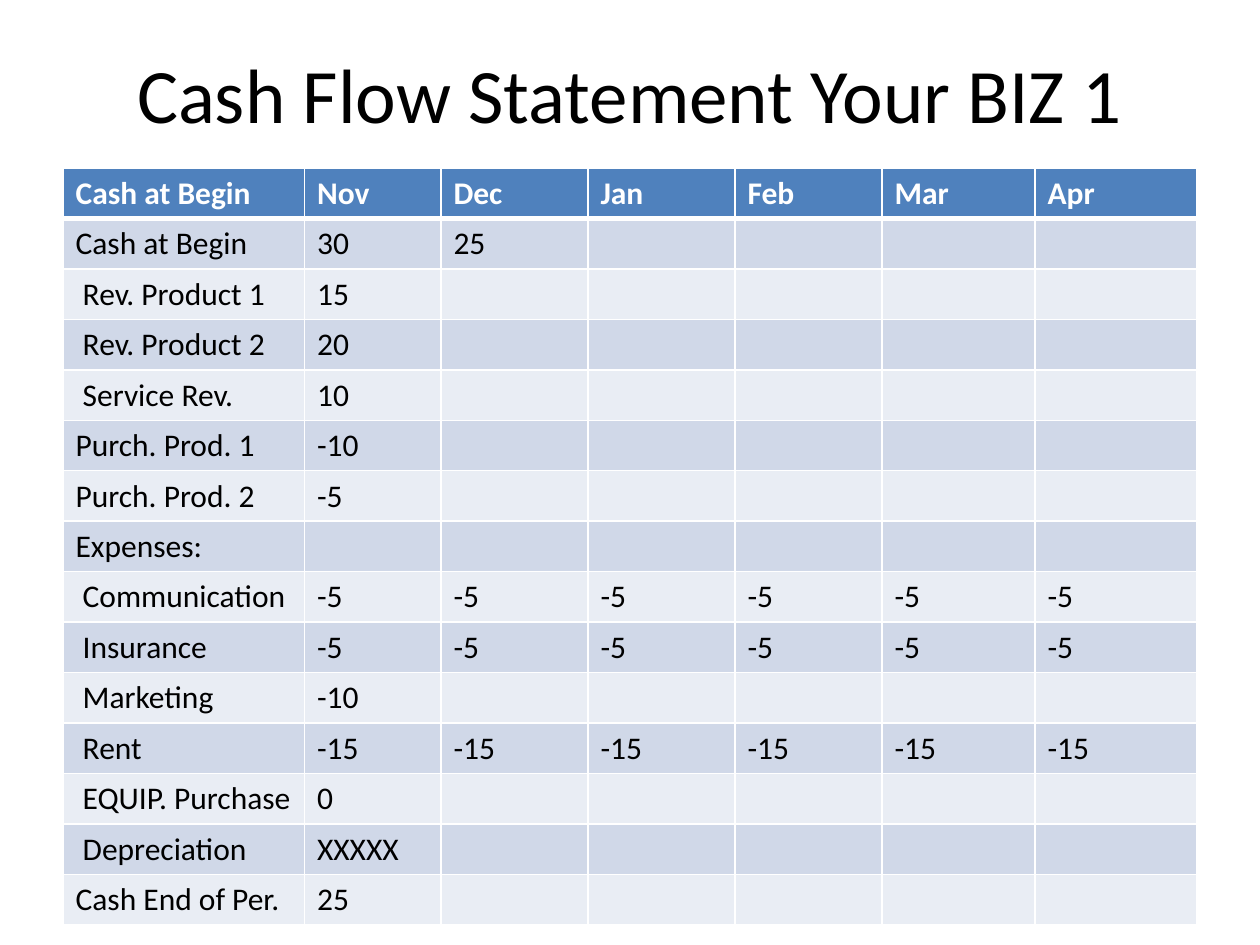
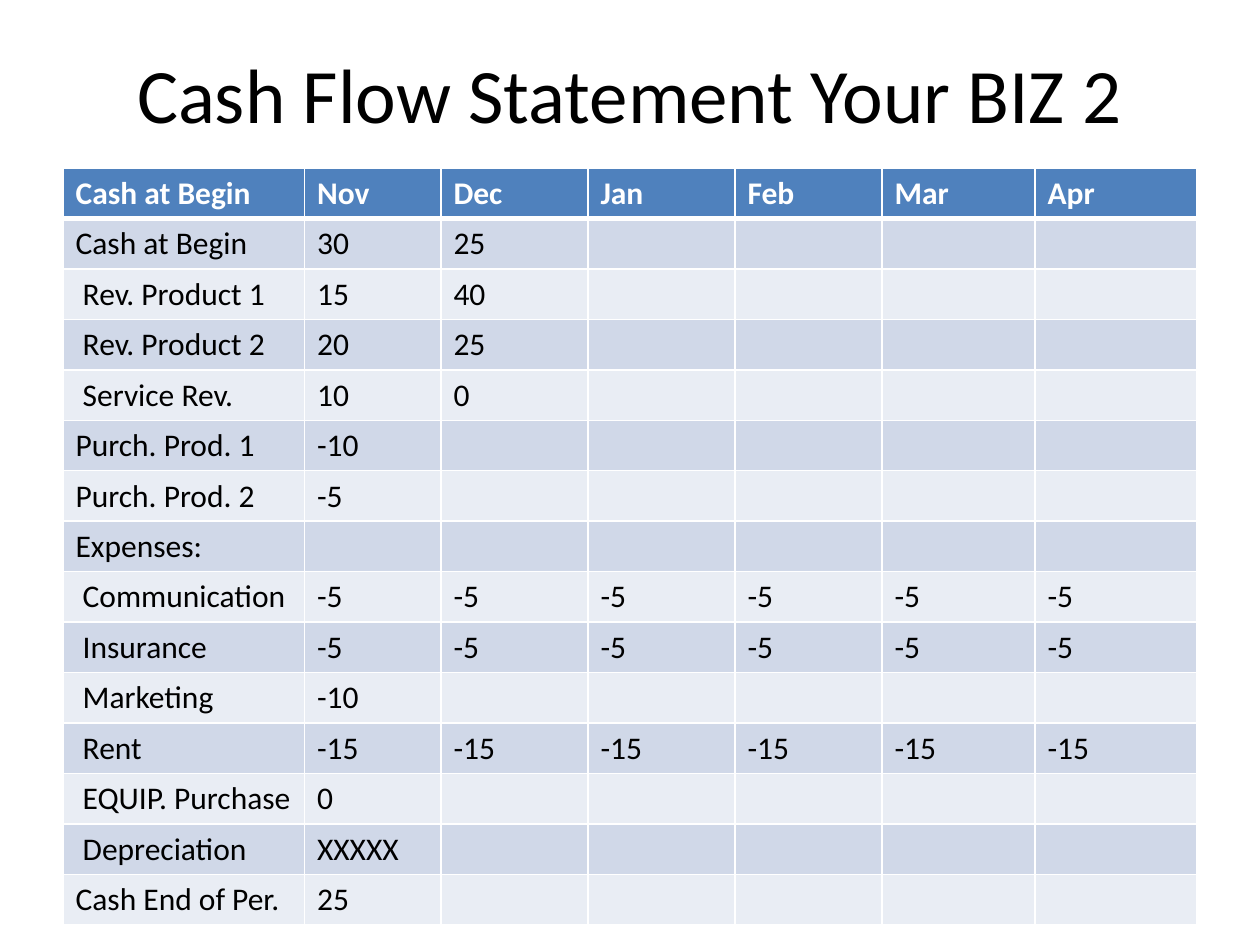
"""Two cash flow statements, one table to a slide."""
from lxml import etree
from pptx import Presentation
from pptx import util as u
from pptx.dml.color import RGBColor
from pptx.enum import text
from pptx.oxml import ns

# Content
HEADER = ["Cash at Begin", "Nov", "Dec", "Jan", "Feb", "Mar", "Apr"]
MONTHS = len(HEADER) - 1
LINES = [
    ("Cash at Begin", ["30", "25"]),
    (" Rev. Product 1", ["15"]),
    (" Rev. Product 2", ["20"]),
    (" Service Rev.", ["10"]),
    ("Purch. Prod. 1", ["-10"]),
    ("Purch. Prod. 2", ["-5"]),
    ("Expenses:", []),
    (" Communication", ["-5"] * MONTHS),
    (" Insurance", ["-5"] * MONTHS),
    (" Marketing", ["-10"]),
    (" Rent", ["-15"] * MONTHS),
    (" EQUIP. Purchase", ["0"]),
    (" Depreciation", ["XXXXX"]),
    ("Cash End of Per.", ["25"]),
]
# Each statement: title, and the December revenue it adds
STATEMENTS = [
    ("Cash Flow Statement Your BIZ 1", {}),
    ("Cash Flow Statement Your BIZ 2",
     {" Rev. Product 1": "40", " Rev. Product 2": "25", " Service Rev.": "0"}),
]

# Shared look
BLACK = RGBColor(0x00, 0x00, 0x00)
WHITE = RGBColor(0xFF, 0xFF, 0xFF)
BLUE = RGBColor(0x4F, 0x81, 0xBD)
BANDS = [RGBColor(0xD0, 0xD8, 0xE8), RGBColor(0xE9, 0xED, 0xF4)]
TITLE_FONT = {"name": "Calibri", "size": u.Pt(44), "bold": False}
HEAD_FONT = {"name": "Calibri", "size": u.Pt(18), "bold": True}
BODY_FONT = {**HEAD_FONT, "bold": False}

# Layout in points
PAGE_WIDTH, PAGE_HEIGHT = 720, 540
LEFT, WIDTH = 36, 648
TITLE_TOP, TITLE_HEIGHT = 21.6, 62.64
TABLE_TOP, TABLE_HEIGHT = 96, 432
COLUMNS = [138, 78, 84, 84, 84, 87.5, 92.5]
THIN, THICK = 1, 3


def write(para, words, font, color):
    """Put words in a paragraph as one formatted span."""
    span = para.add_run()
    span.text = words
    for name, value in font.items():
        setattr(span.font, name, value)
    span.font.color.rgb = color


def add_title(page, words):
    """Add the centred slide title."""
    box = page.shapes.add_textbox(u.Pt(LEFT), u.Pt(TITLE_TOP), u.Pt(WIDTH), u.Pt(TITLE_HEIGHT))
    frame = box.text_frame
    frame.word_wrap = True
    frame.vertical_anchor = text.MSO_ANCHOR.MIDDLE
    para = frame.paragraphs[0]
    para.alignment = text.PP_ALIGN.CENTER
    write(para, words, TITLE_FONT, BLACK)


def set_borders(cell, top, bottom):
    """Draw white cell borders, with the given top and bottom widths."""
    properties = cell._tc.get_or_add_tcPr()
    widths = {"lnL": THIN, "lnR": THIN, "lnT": top, "lnB": bottom}
    for place, (side, width) in enumerate(widths.items()):
        line = etree.Element(ns.qn("a:" + side), w=str(u.Pt(width)))
        fill = etree.SubElement(line, ns.qn("a:solidFill"))
        etree.SubElement(fill, ns.qn("a:srgbClr"), val=str(WHITE))
        properties.insert(place, line)


def add_statement(page, rows):
    """Add the banded table, with its first row as header."""
    table = page.shapes.add_table(
        len(rows), len(COLUMNS), u.Pt(LEFT), u.Pt(TABLE_TOP), u.Pt(WIDTH), u.Pt(TABLE_HEIGHT)
    ).table
    for column, width in zip(table.columns, COLUMNS):
        column.width = u.Pt(width)
    for r, row in enumerate(rows):
        is_head = r == 0
        font, color = (HEAD_FONT, WHITE) if is_head else (BODY_FONT, BLACK)
        table.rows[r].height = u.Pt(TABLE_HEIGHT / len(rows))
        for c in range(len(COLUMNS)):
            cell = table.cell(r, c)
            cell.fill.solid()
            cell.fill.fore_color.rgb = BLUE if is_head else BANDS[(r - 1) % 2]
            set_borders(cell, THICK if r == 1 else THIN, THICK if is_head else THIN)
            if c < len(row):
                write(cell.text_frame.paragraphs[0], row[c], font, color)


def main():
    """Build and save the deck."""
    deck = Presentation()
    deck.slide_width, deck.slide_height = u.Pt(PAGE_WIDTH), u.Pt(PAGE_HEIGHT)
    for title, december in STATEMENTS:
        page = deck.slides.add_slide(deck.slide_layouts[6])
        add_title(page, title)
        rows = [[label, *values] + ([december[label]] if label in december else [])
                for label, values in LINES]
        add_statement(page, [HEADER] + rows)
    deck.save("out.pptx")


main()
